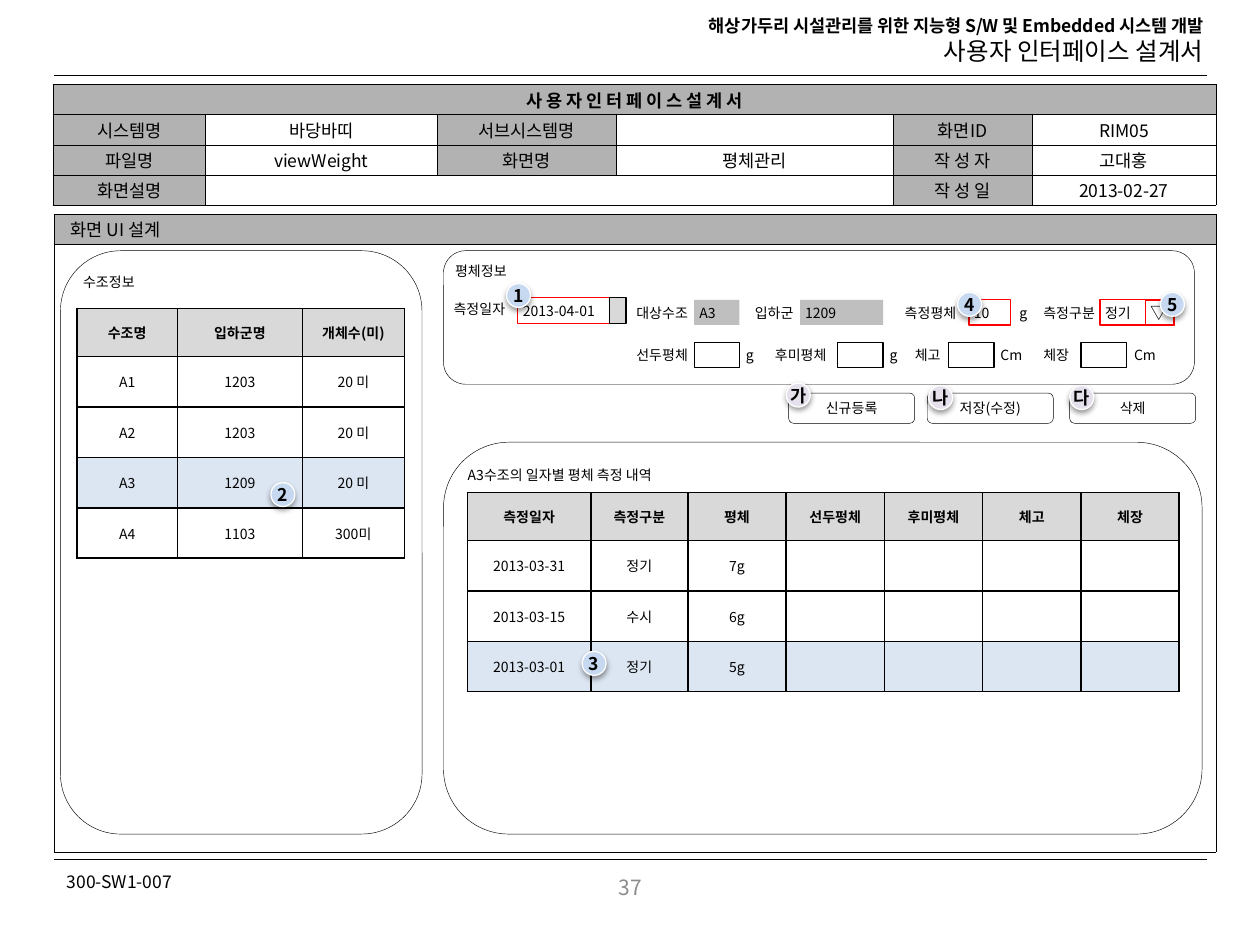
from lxml.etree import SubElement
from pptx import Presentation
from pptx.dml.color import RGBColor
from pptx.enum.shapes import MSO_CONNECTOR, MSO_SHAPE as Shape
from pptx.enum.text import MSO_ANCHOR as Anchor, PP_ALIGN as Align
from pptx.oxml.ns import qn
from pptx.util import Inches, Pt

FONT = "Noto Sans CJK KR"
COLORS = {"black": "000000", "white": "FFFFFF", "red": "FF0000", "number": "8C8C8C",
          "band": "B2B2B2", "head": "D9D9D9", "locked": "BFBFBF", "selected": "DCE6F2",
          "blue": "C6D9F1", "violet": "E6E0EC"}

TITLES = [("해상가두리 시설관리를 위한 지능형 S/W 및 Embedded 시스템 개발", 10, True),
          ("사용자 인터페이스 설계서", 14, False)]
RULES = [0.6, 6.82]
INFO = [["사 용 자 인 터 페 이 스 설 계 서", "", "", "", "", ""],
        ["시스템명", "바당바띠", "서브시스템명", "", "화면ID", "RIM05"],
        ["파일명", "viewWeight", "화면명", "평체관리", "작 성 자", "고대홍"],
        ["화면설명", "", "", "", "작 성 일", "2013-02-27"]]
INFO_BANDS = {(0, 0), (1, 0), (1, 2), (1, 4), (2, 0), (2, 2), (2, 4), (3, 0), (3, 4)}
TANKS = [["수조명", "입하군명", "개체수(미)"],
         ["A1", "1203", "20 미"],
         ["A2", "1203", "20 미"],
         ["A3", "1209", "20 미"],
         ["A4", "1103", "300미"]]
WEIGHINGS = [["측정일자", "측정구분", "평체", "선두펑체", "후미평체", "체고", "체장"],
             ["2013-03-31", "정기", "7g", "", "", "", ""],
             ["2013-03-15", "수시", "6g", "", "", "", ""],
             ["2013-03-01", "정기", "5g", "", "", "", ""]]
PANELS = [("수조정보", 0.48, 1.99, 2.87, 4.63),
          ("평체정보", 3.52, 1.99, 5.96, 1.06),
          ("A3수조의 일자별 평체 측정 내역", 3.52, 3.51, 6.02, 3.11)]
ROW_TOPS = {"first": 2.38, "second": 2.72}
LABELS = {"first": [("대상수조", 5.01), ("입하군", 5.95), ("측정평체", 7.14),
                    ("g", 8.05), ("측정구분", 8.24)],
          "second": [("선두평체", 5.01), ("g", 5.88), ("후미평체", 6.11), ("g", 7.02),
                     ("체고", 7.22), ("Cm", 7.9), ("체장", 8.24), ("Cm", 8.96)]}
# text, left, top, width, height, fill, line
FIELDS = [("2013-04-01", 4.11, 2.36, 0.85, 0.21, None, "red"),
          ("", 4.84, 2.36, 0.13, 0.21, "head", "black"),
          ("A3", 5.51, 2.38, 0.36, 0.2, "locked", None),
          ("1209", 6.35, 2.38, 0.66, 0.2, "locked", None),
          ("10", 7.69, 2.38, 0.33, 0.2, None, "red"),
          ("정기", 8.73, 2.38, 0.59, 0.2, None, "red")]
EMPTY_FIELDS = [5.51, 6.65, 7.53, 8.58]
BUTTONS = [("신규등록", 6.26), ("저장(수정)", 7.36), ("삭제", 8.49)]
BADGES = [("1", 4.02, 2.25, "blue"), ("2", 2.15, 3.83, "blue"), ("3", 4.62, 5.17, "blue"),
          ("4", 7.6, 2.32, "blue"), ("5", 9.21, 2.32, "blue"),
          ("가", 6.24, 3.04, "violet"), ("나", 7.37, 3.06, "violet"),
          ("다", 8.49, 3.06, "violet")]


def color(name):
    return RGBColor.from_string(COLORS[name])


def write(para, text, size=8, bold=False, align=Align.LEFT, ink="black"):
    para.alignment = align
    if not text:  # the end mark keeps an empty cell from growing
        para._p.get_or_add_endParaRPr().set("sz", str(size * 100))
        return
    span = para.add_run()
    span.text = text
    for name, value in {"size": Pt(size), "bold": bold, "name": FONT}.items():
        setattr(span.font, name, value)
    span.font.color.rgb = color(ink)
    SubElement(span.font._element, qn("a:ea")).set("typeface", FONT)


def set_frame(frame, inset=0.04, wrap=True, anchor=Anchor.MIDDLE):
    frame.word_wrap = wrap
    frame.vertical_anchor = anchor
    for side in ("left", "top", "right", "bottom"):
        setattr(frame, f"margin_{side}", Inches(inset))


def add_label(page, text, left, top, width, height=0.2, **text_format):
    box = page.shapes.add_textbox(*map(Inches, (left, top, width, height)))
    set_frame(box.text_frame)
    write(box.text_frame.paragraphs[0], text, **text_format)
    return box


def add_box(page, kind, text, place, fill=None, line=None, weight=0.75,
            frame=None, **text_format):
    box = page.shapes.add_shape(kind, *map(Inches, place))
    box.shadow.inherit = False
    if fill:
        box.fill.solid()
        box.fill.fore_color.rgb = color(fill)
    else:
        box.fill.background()
    if line:
        box.line.color.rgb = color(line)
        box.line.width = Pt(weight)
    else:
        box.line.fill.background()
    set_frame(box.text_frame, **(frame or {}))
    write(box.text_frame.paragraphs[0], text, **text_format)
    return box


def add_badge(page, text, left, top, fill):
    badge = add_box(page, Shape.OVAL, text, (left, top, 0.19, 0.19), fill, "white",
                    frame={"inset": 0, "wrap": False}, size=10, bold=True,
                    align=Align.CENTER)
    effects = badge._element.spPr.find(qn("a:effectLst"))
    shadow = SubElement(effects, qn("a:outerShdw"), blurRad=str(Pt(3.1)),
                        dist=str(Pt(1.6)), dir="5400000", rotWithShape="0")
    tint = SubElement(shadow, qn("a:srgbClr"), val=COLORS["black"])
    SubElement(tint, qn("a:alpha"), val="38000")


def add_borders(cell, weight):
    props = cell._tc.get_or_add_tcPr()
    for index, side in enumerate(("lnL", "lnR", "lnT", "lnB")):
        border = SubElement(props, qn(f"a:{side}"), w=str(Pt(weight)))
        SubElement(SubElement(border, qn("a:solidFill")), qn("a:srgbClr"),
                   val=COLORS["black"])
        props.insert(index, border)


def add_grid(page, rows, left, top, widths, heights, fills, weight=1, size=8,
             bold_head=True, align=Align.CENTER, margins=(0.1, 0.05)):
    """Add a table; fills maps (row, column) to a colour name."""
    holder = page.shapes.add_table(len(rows), len(widths), *map(
        Inches, (left, top, sum(widths), sum(heights))))
    table = holder.table
    table.first_row = table.horz_banding = False
    for column, width in zip(table.columns, widths):
        column.width = Inches(width)
    for row, height in zip(table.rows, heights):
        row.height = Inches(height)
    for r, row in enumerate(rows):
        for c, text in enumerate(row):
            cell = table.cell(r, c)
            cell.vertical_anchor = Anchor.MIDDLE
            cell.margin_left = cell.margin_right = Inches(margins[0])
            cell.margin_top = cell.margin_bottom = Inches(margins[1])
            if (r, c) in fills:
                cell.fill.solid()
                cell.fill.fore_color.rgb = color(fills[r, c])
            else:
                cell.fill.background()
            add_borders(cell, weight)
            write(cell.text_frame.paragraphs[0], text, size, bold_head and r == 0, align)
    return table


def row_fills(columns, selected):
    return {(r, c): name for r, name in ((0, "head"), (selected, "selected"))
            for c in range(columns)}


def main():
    deck = Presentation()
    deck.slide_width, deck.slide_height = Inches(10), Inches(7.5)
    page = deck.slides.add_slide(deck.slide_layouts[6])

    title = page.shapes.add_textbox(*map(Inches, (4.77, 0.07, 4.88, 0.51))).text_frame
    title.word_wrap = True
    for index, (text, size, bold) in enumerate(TITLES):
        para = title.add_paragraph() if index else title.paragraphs[0]
        write(para, text, size, bold, Align.RIGHT)
    for top in RULES:
        rule = page.shapes.add_connector(MSO_CONNECTOR.STRAIGHT, *map(
            Inches, (0.43, top, 9.58, top)))
        rule.line.color.rgb = color("black")
        rule.line.width = Pt(0.25)
        SubElement(rule._element.spPr, qn("a:effectLst"))
    add_label(page, "300-SW1-007", 0.49, 6.86, 1.16, 0.27, size=10)
    add_label(page, "37", 0.43, 6.84, 9.15, 0.4, size=12, align=Align.CENTER, ink="number")

    add_grid(page, [["화면 UI 설계"], [""]], 0.43, 1.7, [9.22], [0.24, 4.82],
             {(0, 0): "band"}, 0.25, 10, False, Align.LEFT, (0.13, 0.01))
    info = add_grid(page, INFO, 0.42, 0.67, [1.21, 1.84, 1.42, 2.2, 1.1, 1.46], [0.24] * 4,
                    dict.fromkeys(INFO_BANDS, "band"), 0.25, 10, margins=(0.05, 0.01))
    info.cell(0, 0).merge(info.cell(0, 5))
    info.cell(3, 1).merge(info.cell(3, 3))

    for text, *place in PANELS:
        add_box(page, Shape.ROUNDED_RECTANGLE, text, place, None, "black", 0.25,
                {"wrap": False, "anchor": Anchor.TOP})
    add_grid(page, TANKS, 0.61, 2.45, [0.8, 0.99, 0.81], [0.38] + [0.4] * 4,
             row_fills(3, 3))
    add_grid(page, WEIGHINGS, 3.71, 3.91, [0.98, 0.77] + [0.78] * 5, [0.38] + [0.4] * 3,
             row_fills(7, 3))

    add_label(page, "측정일자", 3.56, 2.33, 0.59, 0.25)
    for row, labels in LABELS.items():
        for text, left in labels:
            add_label(page, text, left, ROW_TOPS[row], 0.35 if len(text) < 3 else 0.59)
    for text, left, top, width, height, fill, line in FIELDS:
        add_box(page, Shape.RECTANGLE, text, (left, top, width, height), fill, line)
    add_box(page, Shape.RECTANGLE, "▽", (9.09, 2.38, 0.22, 0.2), None, "red", 0.25,
            {"wrap": False}, size=10)
    for left in EMPTY_FIELDS:
        add_box(page, Shape.RECTANGLE, "", (left, ROW_TOPS["second"], 0.36, 0.2),
                None, "black")
    for text, left in BUTTONS:
        add_box(page, Shape.ROUNDED_RECTANGLE, text, (left, 3.12, 1, 0.24), "white",
                "black", 0.25, {"wrap": False}, align=Align.CENTER)
    for badge in BADGES:
        add_badge(page, *badge)

    deck.save("out.pptx")


if __name__ == "__main__":
    main()
